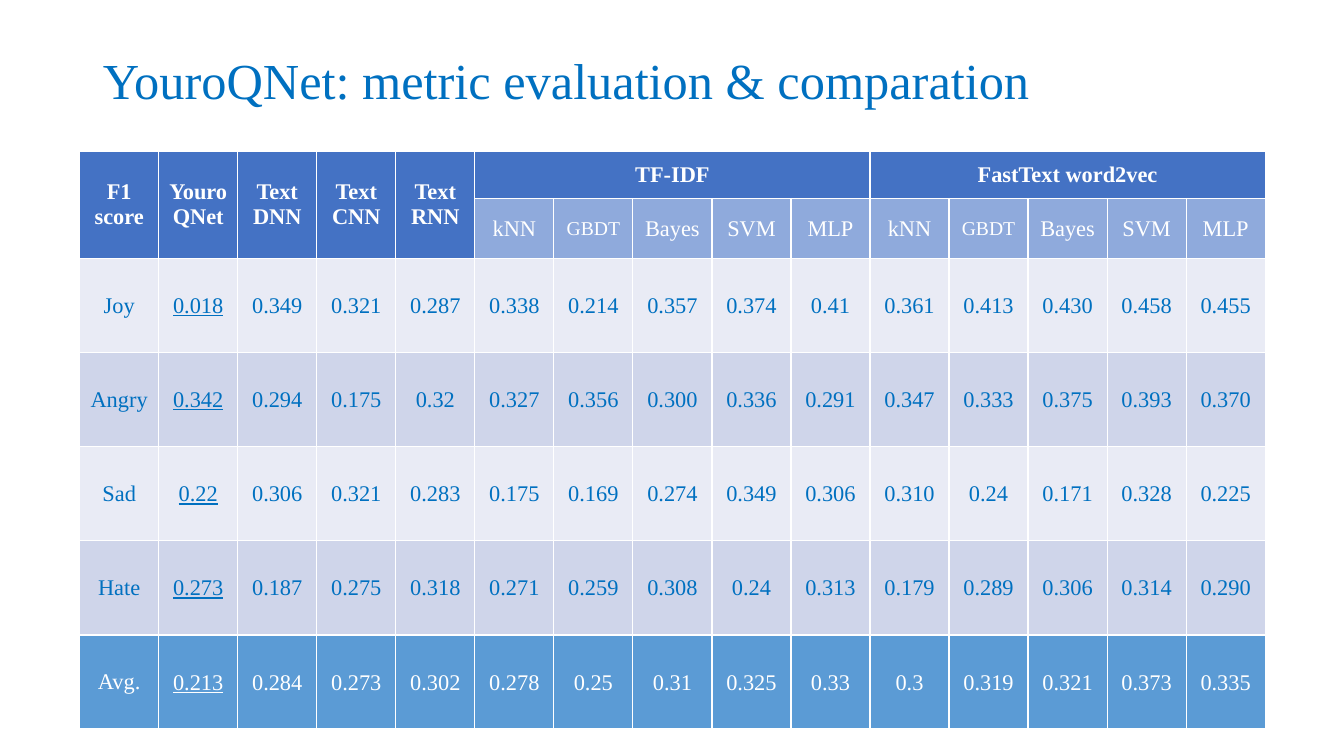
from dataclasses import dataclass

from pptx import Presentation
from pptx.dml.color import RGBColor
from pptx.enum.text import MSO_ANCHOR, PP_ALIGN
from pptx.slide import Slide
from pptx.table import Table, _Cell
from pptx.util import Inches, Pt

MIDDLE = MSO_ANCHOR.MIDDLE
CENTER, LEFT = PP_ALIGN.CENTER, PP_ALIGN.LEFT
FONT = "Times New Roman"
BLUE, WHITE = "0070C0", "FFFFFF"
TITLE_ONLY = 5

TABLE_LEFT, TABLE_TOP, TABLE_WIDTH, TABLE_HEIGHT = 0.79, 1.5, 11.76, 5.61
HEADER_HEIGHT = 0.47
HEADER_ROWS = 2

MODELS = ["F1 score", "Youro\nQNet", "Text\nDNN", "Text\nCNN", "Text\nRNN"]
FEATURES = ["TF-IDF", "FastText word2vec"]
CLASSIFIERS = ["kNN", "GBDT", "Bayes", "SVM", "MLP"]
COLUMNS = len(MODELS) + len(FEATURES) * len(CLASSIFIERS)


@dataclass
class CellStyle:
    fill: str
    color: str = WHITE
    size: int = 16
    bold: bool = False
    underline: bool = False


@dataclass
class ScoreRow:
    label: str
    scores: str
    fill: str
    color: str = BLUE
    tight: bool = False


ROWS = [
    ScoreRow("Joy", "0.018 0.349 0.321 0.287 0.338 0.214 0.357 0.374 0.41 "
             "0.361 0.413 0.430 0.458 0.455", "E9EBF5"),
    ScoreRow("Angry", "0.342 0.294 0.175 0.32 0.327 0.356 0.300 0.336 0.291 "
             "0.347 0.333 0.375 0.393 0.370", "CFD5EA"),
    ScoreRow("Sad", "0.22 0.306 0.321 0.283 0.175 0.169 0.274 0.349 0.306 "
             "0.310 0.24 0.171 0.328 0.225", "E9EBF5"),
    ScoreRow("Hate", "0.273 0.187 0.275 0.318 0.271 0.259 0.308 0.24 0.313 "
             "0.179 0.289 0.306 0.314 0.290", "CFD5EA"),
    ScoreRow("Avg.", "0.213 0.284 0.273 0.302 0.278 0.25 0.31 0.325 0.33 "
             "0.3 0.319 0.321 0.373 0.335", "5B9BD5", WHITE, tight=True),
]


def rgb(color: str) -> RGBColor:
    return RGBColor.from_string(color)


def write_cell(cell: _Cell, text: str, style: CellStyle) -> None:
    cell.text = text
    cell.vertical_anchor = MIDDLE
    cell.fill.solid()
    cell.fill.fore_color.rgb = rgb(style.fill)
    for p in cell.text_frame.paragraphs:
        p.alignment = CENTER
        p.font.name = FONT
        p.font.size = Pt(style.size)
        p.font.bold = style.bold
        p.font.underline = style.underline
        p.font.color.rgb = rgb(style.color)


def add_title(slide: Slide, text: str) -> None:
    sp = slide.shapes.title
    sp.left, sp.top = Inches(0.92), Inches(0.4)
    sp.width, sp.height = Inches(11.5), Inches(0.85)
    tf = sp.text_frame
    tf.text = text
    tf.vertical_anchor = MIDDLE
    p = tf.paragraphs[0]
    p.alignment = LEFT
    p.line_spacing = 0.9
    p.font.name = FONT
    p.font.size = Pt(36)
    p.font.color.rgb = rgb(BLUE)


def add_score_table(slide: Slide) -> Table:
    table = slide.shapes.add_table(
        HEADER_ROWS + len(ROWS), COLUMNS, Inches(TABLE_LEFT), Inches(TABLE_TOP),
        Inches(TABLE_WIDTH), Inches(TABLE_HEIGHT)).table
    for column in table.columns:
        column.width = Inches(TABLE_WIDTH / COLUMNS)
    score_height = (TABLE_HEIGHT - HEADER_ROWS * HEADER_HEIGHT) / len(ROWS)
    for i, row in enumerate(table.rows):
        row.height = Inches(HEADER_HEIGHT if i < HEADER_ROWS else score_height)
    return table


def fill_header(table: Table) -> None:
    heading = CellStyle("4472C4", bold=True)
    for col, model in enumerate(MODELS):
        table.cell(0, col).merge(table.cell(1, col))
        write_cell(table.cell(0, col), model, heading)
    for i, feature in enumerate(FEATURES):
        first = len(MODELS) + i * len(CLASSIFIERS)
        table.cell(0, first).merge(table.cell(0, first + len(CLASSIFIERS) - 1))
        write_cell(table.cell(0, first), feature, heading)
        for col, classifier in enumerate(CLASSIFIERS, first):
            size = 14 if classifier == "GBDT" else 16
            write_cell(table.cell(1, col), classifier, CellStyle("8FAADC", size=size))


def fill_scores(table: Table) -> None:
    for i, row in enumerate(ROWS, HEADER_ROWS):
        for col, text in enumerate([row.label, *row.scores.split()]):
            cell = table.cell(i, col)
            write_cell(cell, text, CellStyle(row.fill, row.color, underline=col == 1))
            if row.tight and col > 0:
                cell.margin_left = cell.margin_top = cell.margin_right = Inches(0.01)
                cell.margin_bottom = 0


def main() -> None:
    prs = Presentation()
    prs.slide_width, prs.slide_height = Inches(13.33), Inches(7.5)
    slide = prs.slides.add_slide(prs.slide_layouts[TITLE_ONLY])
    add_title(slide, "YouroQNet: metric evaluation & comparation")
    table = add_score_table(slide)
    fill_header(table)
    fill_scores(table)
    prs.save("out.pptx")


if __name__ == "__main__":
    main()
